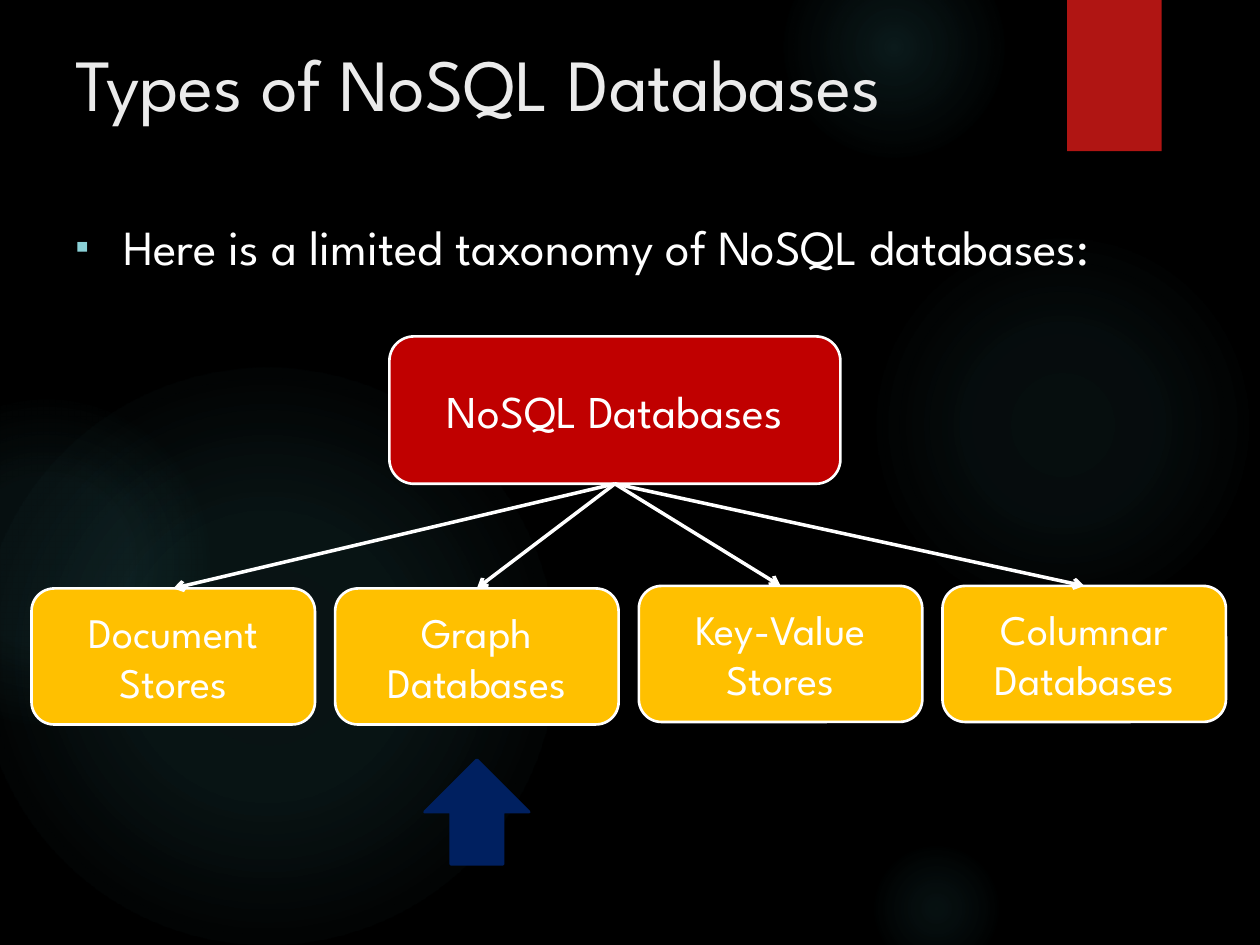
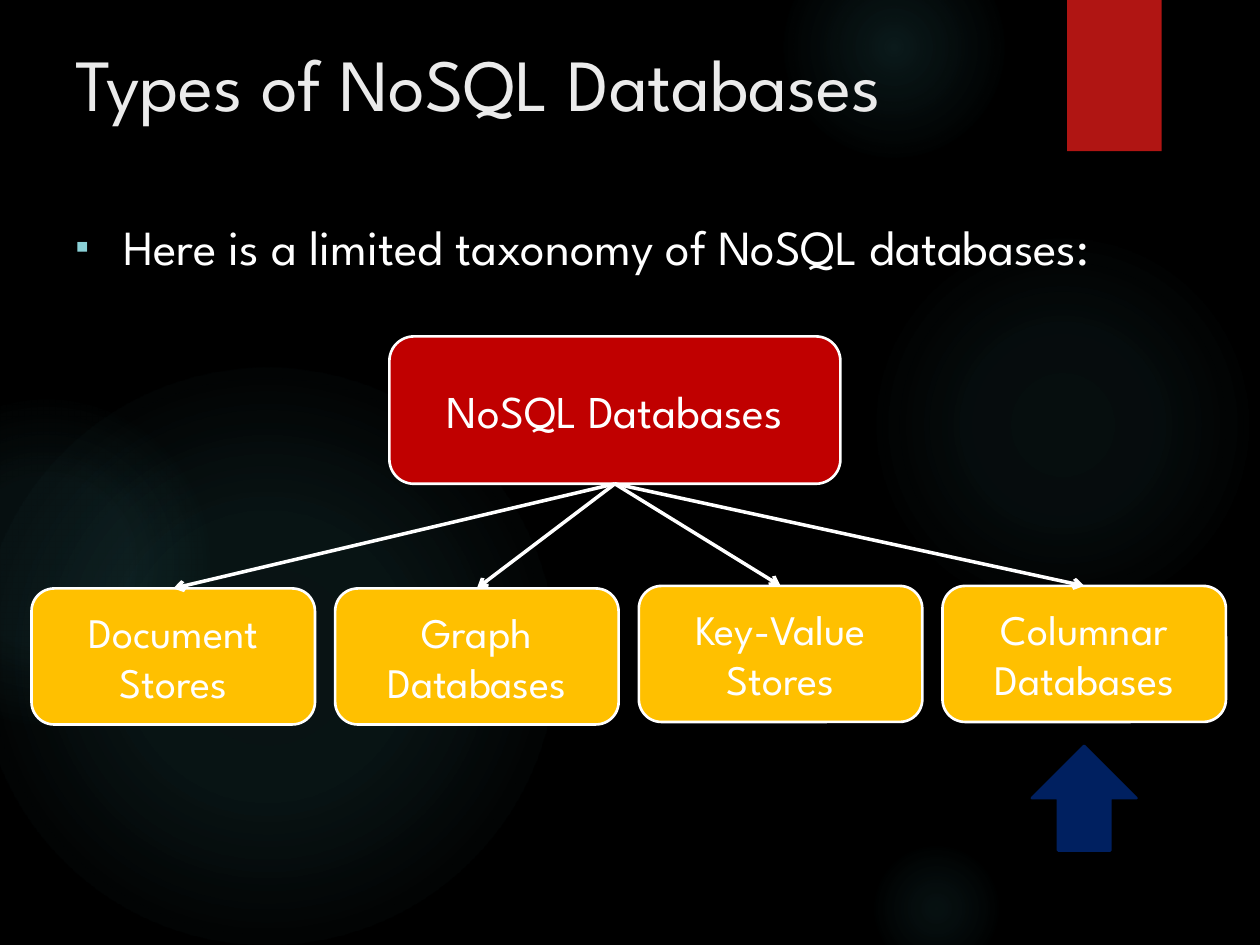
from dataclasses import dataclass

from lxml.etree import SubElement
from pptx import Presentation
from pptx.dml.color import RGBColor
from pptx.enum.shapes import MSO_CONNECTOR, MSO_SHAPE
from pptx.enum.text import MSO_ANCHOR, PP_ALIGN
from pptx.oxml import parse_xml
from pptx.oxml.ns import nsdecls, qn
from pptx.util import Inches, Pt


@dataclass(frozen=True)
class Theme:
    font: str = "League Spartan"
    back: str = "000000"
    glow: str = "50B9C1"
    band: str = "B01513"
    title: str = "EBEBEB"
    text: str = "FFFFFF"
    bullet: str = "8AD0D6"
    root: str = "C00000"
    leaf: str = "FFC000"
    mark: str = "002060"
    title_size: int = 42
    body_size: int = 28
    root_size: int = 26
    leaf_size: int = 24
    edge: float = 1.5
    link: float = 2


# left, top, diameter, (stop position, opacity) in percent
GLOWS = [
    (6.89, 1.83, 3.08, [(0, 7), (36, 6), (69, 0)]),
    (6.22, -0.5, 1.75, [(0, 14), (36, 7), (73, 0)]),
    (6.89, 6.67, 1.08, [(0, 9), (36, 5), (66, 0)]),
    (-0.17, 2.92, 4.58, [(0, 11), (36, 10), (75, 0)]),
    (-0.92, 3.17, 2.58, [(0, 8), (36, 8), (72, 0)]),
]
TYPES = ["Document Stores", "Graph Databases",
         "Key-Value Stores", "Columnar Databases"]
LEFT, STEP, WIDTH, HEIGHT = 0.25, 2.41, 2.25, 1.08
TOPS = [4.67, 4.67, 4.65, 4.65]
MARK = 0.83


def assign(item, values):
    for name, value in values.items():
        setattr(item, name, value)


def color(code):
    return RGBColor.from_string(code)


class Deck:
    def __init__(self, theme):
        self.theme = theme
        self.file = Presentation()
        assign(self.file, {"slide_width": Inches(10),
                           "slide_height": Inches(7.5)})
        self.slide = None

    def start(self, title):
        """Add a slide with its backdrop and title."""
        look = self.theme
        self.slide = self.file.slides.add_slide(self.file.slide_layouts[5])
        fill = self.slide.background.fill
        fill.solid()
        fill.fore_color.rgb = color(look.back)
        for left, top, size, stops in GLOWS:
            self.glow(left, top, size, stops)
        self.shape(MSO_SHAPE.RECTANGLE, (8.47, 0, 0.75, 1.2), look.band)
        head = self.slide.shapes.title
        head.element.getparent().append(head.element)
        self.place(head, (0.5, 0.25, 9, 1.25))
        self.label(head, title, look.title_size, look.title)

    def place(self, item, area):
        names = ("left", "top", "width", "height")
        assign(item, dict(zip(names, map(Inches, area))))

    def label(self, item, text, size, ink, align=PP_ALIGN.LEFT,
              anchor=MSO_ANCHOR.TOP):
        frame = item.text_frame
        assign(frame, {"word_wrap": True, "vertical_anchor": anchor})
        para = frame.paragraphs[0]
        para.alignment = align
        run = para.add_run()
        run.text = text
        assign(run.font, {"name": self.theme.font, "size": Pt(size)})
        run.font.color.rgb = color(ink)
        return para

    def shape(self, kind, area, fill, edge=None):
        item = self.slide.shapes.add_shape(kind, *map(Inches, area))
        item.shadow.inherit = False
        item.fill.solid()
        item.fill.fore_color.rgb = color(fill)
        if edge:
            item.line.color.rgb = color(edge)
            item.line.width = Pt(self.theme.edge)
        else:
            item.line.fill.background()
        return item

    def glow(self, left, top, size, stops):
        item = self.shape(MSO_SHAPE.OVAL, (left, top, size, size),
                          self.theme.glow)
        marks = "".join(
            f'<a:gs pos="{pos * 1000}"><a:srgbClr val="{self.theme.glow}">'
            f'<a:alpha val="{alpha * 1000}"/></a:srgbClr></a:gs>'
            for pos, alpha in stops)
        grad = parse_xml(
            f'<a:gradFill {nsdecls("a")}><a:gsLst>{marks}</a:gsLst>'
            '<a:path path="circle"><a:fillToRect l="50000" t="50000" '
            'r="50000" b="50000"/></a:path></a:gradFill>')
        props = item.element.spPr
        props.replace(props.find(qn("a:solidFill")), grad)

    def bullet(self, text, area):
        look = self.theme
        box = self.slide.shapes.add_textbox(*map(Inches, area))
        para = self.label(box, text, look.body_size, look.text)
        props = para._p.get_or_add_pPr()
        props.set("marL", str(Inches(0.38)))
        props.set("indent", str(-Inches(0.38)))
        tint = SubElement(props, qn("a:buClr"))
        SubElement(tint, qn("a:srgbClr"), val=look.bullet)
        SubElement(props, qn("a:buSzPct"), val="80000")
        SubElement(props, qn("a:buFont"), typeface="Arial")
        SubElement(props, qn("a:buChar"), char="▪")

    def node(self, text, area, fill, size):
        ink = self.theme.text
        item = self.shape(MSO_SHAPE.ROUNDED_RECTANGLE, area, fill, ink)
        self.label(item, text, size, ink, PP_ALIGN.CENTER, MSO_ANCHOR.MIDDLE)
        return item

    def link(self, root, leaf):
        """Draw an arrow from the bottom of root to the top of leaf."""
        line = self.slide.shapes.add_connector(MSO_CONNECTOR.STRAIGHT,
                                               0, 0, 0, 0)
        line.begin_connect(root, 2)
        line.end_connect(leaf, 0)
        line.line.color.rgb = color(self.theme.text)
        line.line.width = Pt(self.theme.link)
        props = line.element.spPr
        SubElement(props.find(qn("a:ln")), qn("a:tailEnd"), type="arrow")
        SubElement(props, qn("a:effectLst"))

    def tree(self):
        look = self.theme
        root = self.node("NoSQL Databases", (3.09, 2.67, 3.58, 1.17),
                         look.root, look.root_size)
        leaves = [self.node(name, (LEFT + i * STEP, top, WIDTH, HEIGHT),
                            look.leaf, look.leaf_size)
                  for i, (name, top) in enumerate(zip(TYPES, TOPS))]
        for leaf in leaves:
            self.link(root, leaf)

    def mark(self, name, top):
        """Point an arrow up at the named type."""
        left = LEFT + TYPES.index(name) * STEP + (WIDTH - MARK) / 2
        ink = self.theme.mark
        self.shape(MSO_SHAPE.UP_ARROW, (left, top, MARK, MARK), ink, ink)


def main():
    deck = Deck(Theme())
    for name, top in [("Graph Databases", 6.03),
                      ("Columnar Databases", 5.92)]:
        deck.start("Types of NoSQL Databases")
        deck.bullet("Here is a limited taxonomy of NoSQL databases:",
                    (0.5, 1.67, 9.25, 5.75))
        deck.tree()
        deck.mark(name, top)
    deck.file.save("out.pptx")


if __name__ == "__main__":
    main()
